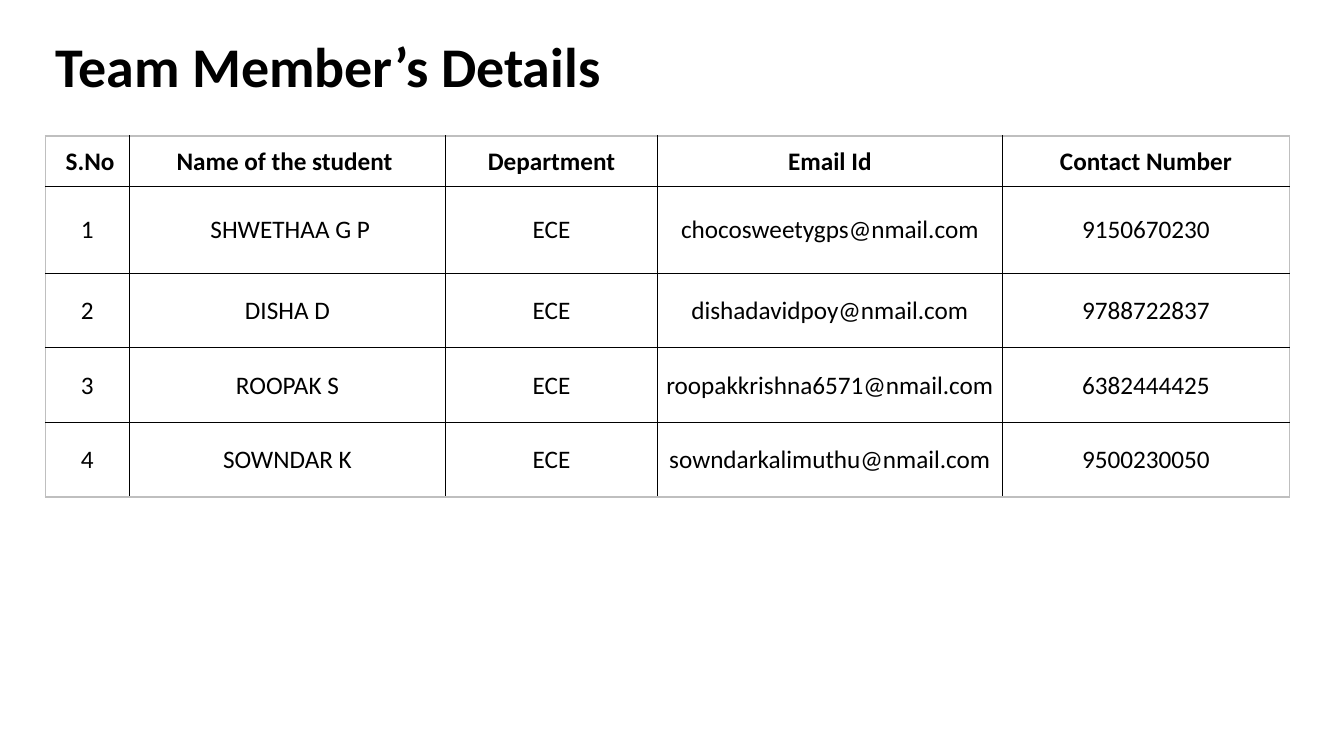
from lxml.etree import SubElement
from pptx import Presentation
from pptx.dml.color import RGBColor
from pptx.enum.text import MSO_ANCHOR, MSO_AUTO_SIZE, PP_ALIGN
from pptx.oxml.ns import qn
from pptx.util import Inches, Pt

HEAD = [" S.No", "Name of the student ", "Department", "Email Id", "Contact Number"]
TEAM = [
    (" SHWETHAA G P", "chocosweetygps", "9150670230"),
    ("DISHA D", "dishadavidpoy", "9788722837"),
    ("ROOPAK S", "roopakkrishna6571", "6382444425"),
    ("SOWNDAR K", "sowndarkalimuthu", "9500230050"),
]
COLS = [6.23, 23.56, 15.75, 25.66, 21.38]
ROWS = [6.67, 11.47] + [9.87] * 3


def hue(code):
    return RGBColor.from_string(code)


class Deck:
    font, ink, edge, paper = "Calibri", "000000", "BFBFBF", "FFFFFF"

    def __init__(self):
        self.prs = Presentation()
        self.prs.slide_width = Inches(13.33)
        self.prs.slide_height = Inches(7.5)
        self.slide = self.prs.slides.add_slide(self.prs.slide_layouts[5])

    def wide(self, share):
        return round(self.prs.slide_width * share / 100)

    def high(self, share):
        return round(self.prs.slide_height * share / 100)

    def style(self, frame, size, bold, align):
        for para in frame.paragraphs:
            para.alignment = align
            for run in para.runs:
                run.font.name = self.font
                run.font.size = Pt(size)
                run.font.bold = bold
                run.font.color.rgb = hue(self.ink)

    def title(self, text, x, y, w, h):
        shape = self.slide.shapes.title
        shape.left, shape.top = self.wide(x), self.high(y)
        shape.width, shape.height = self.wide(w), self.high(h)
        frame = shape.text_frame
        frame.text = text
        frame.word_wrap = False
        frame.auto_size = MSO_AUTO_SIZE.SHAPE_TO_FIT_TEXT
        frame.vertical_anchor = MSO_ANCHOR.TOP
        self.style(frame, 40, True, PP_ALIGN.LEFT)

    def border(self, cell, outer):
        props = cell._tc.get_or_add_tcPr()
        for spot, (side, rim) in enumerate(zip("LRTB", outer)):
            line = props.makeelement(qn(f"a:ln{side}"), {"w": str(Pt(1))})
            fill = SubElement(line, qn("a:solidFill"))
            SubElement(fill, qn("a:srgbClr"), val=self.edge if rim else self.ink)
            props.insert(spot, line)

    def table(self, data, x, y, cols, rows):
        frame = self.slide.shapes.add_table(
            len(rows), len(cols), self.wide(x), self.high(y),
            self.wide(sum(cols)), self.high(sum(rows)))
        grid = frame.table
        for col, share in zip(grid.columns, cols):
            col.width = self.wide(share)
        for row, share in zip(grid.rows, rows):
            row.height = self.high(share)
        for r, line in enumerate(data):
            for c, text in enumerate(line):
                cell = grid.cell(r, c)
                cell.text_frame.text = text
                cell.vertical_anchor = MSO_ANCHOR.MIDDLE
                cell.margin_left = cell.margin_right = cell.margin_top = Inches(0.01)
                cell.margin_bottom = 0
                cell.fill.solid()
                cell.fill.fore_color.rgb = hue(self.paper)
                self.style(cell.text_frame, 18, r == 0, PP_ALIGN.CENTER)
                self.border(cell, (c == 0, c == len(cols) - 1, r == 0, r == len(rows) - 1))


def main():
    deck = Deck()
    deck.table(
        [HEAD] + [[str(n), name, "ECE", f"{mail}@nmail.com", phone]
                  for n, (name, mail, phone) in enumerate(TEAM, 1)],
        3.38, 18, COLS, ROWS)
    deck.title("Team Member’s Details", 3.38, 3.47, 42.54, 10.27)
    deck.prs.save("out.pptx")


if __name__ == "__main__":
    main()
